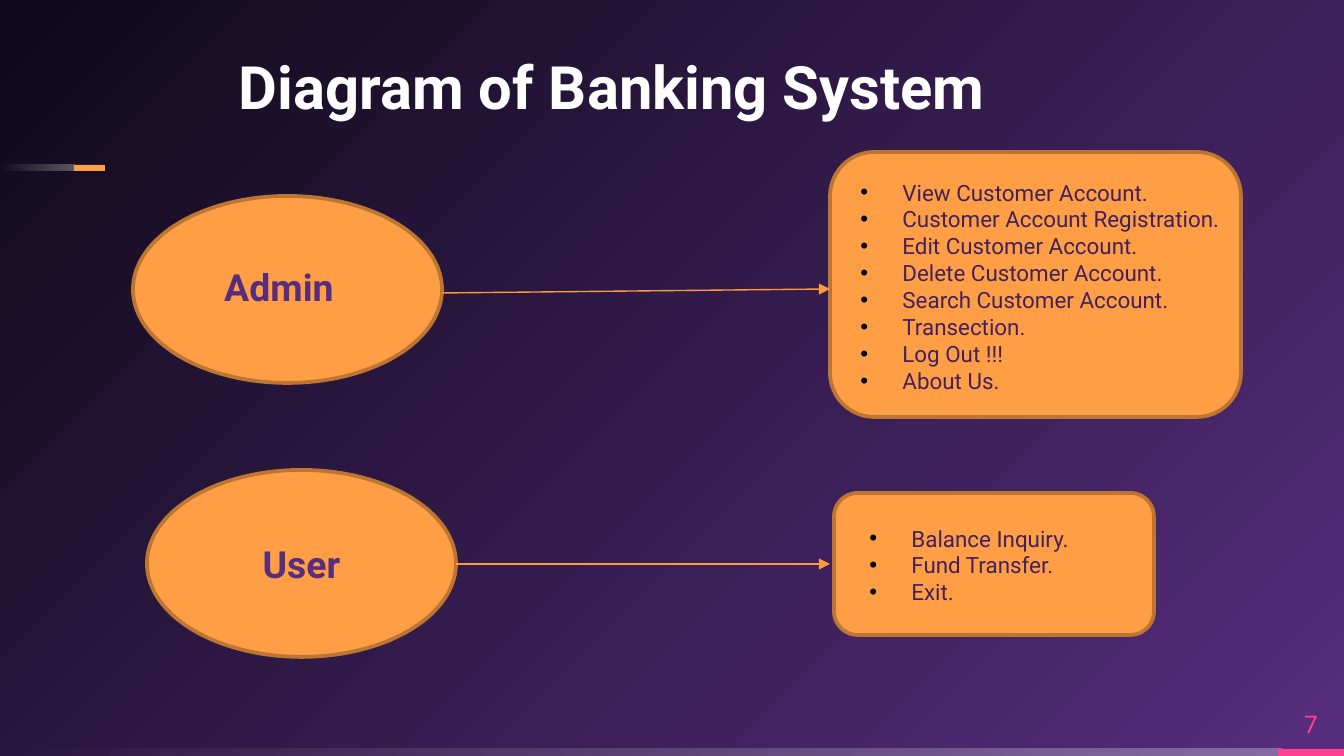
from dataclasses import dataclass

from lxml.etree import SubElement
from pptx import Presentation
from pptx.dml.color import RGBColor
from pptx.enum.shapes import MSO_CONNECTOR, MSO_SHAPE
from pptx.enum.text import MSO_ANCHOR, MSO_AUTO_SIZE, PP_ALIGN
from pptx.oxml import parse_xml
from pptx.oxml.ns import nsdecls, qn
from pptx.util import Pt

EMU_PER_PIXEL = 914400 / 134.4


@dataclass(frozen=True)
class Theme:
    font: str = "Roboto"
    night: str = "0E0918"
    purple: str = "572D7E"
    list_text: str = "41225E"
    bullet: str = "000000"
    white: str = "FFFFFF"
    orange: str = "FF9E44"
    outline: str = "BD7532"
    arrow: str = "FE9A3E"
    pink: str = "FF4093"
    title_size: int = 32
    label_size: int = 20
    number_size: int = 13
    list_size: int = 12


THEME = Theme()


def px(*lengths):
    return [round(length * EMU_PER_PIXEL) for length in lengths]


def color(value):
    return RGBColor.from_string(value)


def paint_background(slide):
    background = parse_xml(
        f'<p:bg {nsdecls("p", "a")}><p:bgPr><a:gradFill rotWithShape="1"><a:gsLst>'
        f'<a:gs pos="0"><a:srgbClr val="{THEME.purple}"/></a:gs>'
        f'<a:gs pos="100000"><a:srgbClr val="{THEME.night}"/></a:gs></a:gsLst>'
        '<a:path path="circle"><a:fillToRect l="100000" t="100000"/></a:path>'
        '</a:gradFill><a:effectLst/></p:bgPr></p:bg>')
    slide.element.cSld.insert(0, background)


def add_shape(slide, kind, box, fill=THEME.orange, outline=None):
    shape = slide.shapes.add_shape(kind, *px(*box))
    shape.shadow.inherit = False
    shape.fill.solid()
    shape.fill.fore_color.rgb = color(fill)
    if outline:
        shape.line.color.rgb = color(outline)
        shape.line.width = Pt(2)
    else:
        shape.line.fill.background()
    return shape


def add_fading_bar(slide, box):
    bar = add_shape(slide, MSO_SHAPE.RECTANGLE, box)
    bar.fill.gradient()
    bar.fill.gradient_angle = 180
    for stop, position, opacity in zip(bar.fill.gradient_stops, (0, 1), (30, 0)):
        stop.position = position
        stop.color.rgb = color(THEME.white)
    for rgb, opacity in zip(bar.element.spPr.iter(qn("a:srgbClr")), (30, 0)):
        SubElement(rgb, qn("a:alpha"), val=str(opacity * 1000))


def write(shape, lines, size, text_color, bold=False,
          align=PP_ALIGN.LEFT, anchor=MSO_ANCHOR.TOP):
    frame = shape.text_frame
    frame.text = "\n".join(lines)
    frame.word_wrap = True
    frame.auto_size = MSO_AUTO_SIZE.NONE
    frame.vertical_anchor = anchor
    for paragraph in frame.paragraphs:
        paragraph.alignment = align
        paragraph.space_before = Pt(0)
        paragraph.font.name = THEME.font
        paragraph.font.size = Pt(size)
        paragraph.font.bold = bold
        paragraph.font.color.rgb = color(text_color)


def place(slide, placeholder, box):
    placeholder.left, placeholder.top, placeholder.width, placeholder.height = px(*box)
    slide.shapes._spTree.append(placeholder.element)  # bring to front


def fill_list(slide, placeholder, box, items):
    place(slide, placeholder, box)
    write(placeholder, items, THEME.list_size, THEME.list_text)
    indent = px(42)[0]
    for paragraph in placeholder.text_frame.paragraphs:
        properties = paragraph._p.get_or_add_pPr()
        properties.set("marL", str(indent))
        properties.set("indent", str(-indent))
        bullet_color = parse_xml(f'<a:buClr {nsdecls("a")}><a:srgbClr val="{THEME.bullet}"/></a:buClr>')
        bullet_font = parse_xml(f'<a:buFont {nsdecls("a")} typeface="Arial"/>')
        bullet = parse_xml(f'<a:buChar {nsdecls("a")} char="•"/>')
        spacing = properties.find(qn("a:spcBef"))
        for element in (bullet, bullet_font, bullet_color):
            spacing.addnext(element)


def add_arrow(slide, start, end):
    arrow = slide.shapes.add_connector(MSO_CONNECTOR.STRAIGHT, *px(*start, *end))
    arrow.line.color.rgb = color(THEME.arrow)
    arrow.line.width = Pt(0.75)
    SubElement(arrow.line._get_or_add_ln(), qn("a:tailEnd"), type="triangle")
    SubElement(arrow.element.spPr, qn("a:effectLst"))


def add_slide_number(slide, number):
    box = slide.shapes.add_textbox(*px(1278, 698, 66, 51))
    write(box, [number], THEME.number_size, THEME.pink,
          align=PP_ALIGN.CENTER, anchor=MSO_ANCHOR.MIDDLE)
    frame = box.text_frame
    frame.margin_left = frame.margin_right = frame.margin_top = frame.margin_bottom = 0


def main():
    presentation = Presentation()
    presentation.slide_width, presentation.slide_height = px(1344, 756)
    slide = presentation.slides.add_slide(presentation.slide_layouts[3])
    title, admin_list, user_list = slide.placeholders

    # Background, accents and slide number
    paint_background(slide)
    for box in ((0, 749, 1282, 7), (0, 165, 75, 6)):
        add_fading_bar(slide, box)
    add_shape(slide, MSO_SHAPE.RECTANGLE, (1278, 749, 66, 7), THEME.pink)
    add_shape(slide, MSO_SHAPE.RECTANGLE, (74, 165, 31, 6))
    add_slide_number(slide, "7")

    # Roles and their action boxes
    add_shape(slide, MSO_SHAPE.OVAL, (133, 196, 309, 187), outline=THEME.outline)
    user = add_shape(slide, MSO_SHAPE.OVAL, (147, 470, 309, 187), outline=THEME.outline)
    for box in ((830, 152, 411, 265), (834, 493, 320, 142)):
        add_shape(slide, MSO_SHAPE.ROUNDED_RECTANGLE, box, outline=THEME.outline)
    admin_label = add_shape(slide, MSO_SHAPE.RECTANGLE, (211, 258, 152, 59))
    write(admin_label, ["Admin"], THEME.label_size, THEME.purple, bold=True)
    write(user, ["User"], THEME.label_size, THEME.purple, bold=True,
          align=PP_ALIGN.CENTER, anchor=MSO_ANCHOR.MIDDLE)

    # Arrows from role to actions
    add_arrow(slide, (442, 293), (830, 289))
    add_arrow(slide, (456, 564), (830, 564))

    # Action lists
    fill_list(slide, admin_list, (847, 172, 394, 301), [
        "View Customer Account.", "Customer Account Registration.",
        "Edit Customer Account.", "Delete Customer Account.",
        "Search Customer Account.", "Transection.", "Log Out !!!", "About Us."])
    fill_list(slide, user_list, (856, 518, 280, 122),
              ["Balance Inquiry.", "Fund Transfer.", "Exit."])

    # Title
    place(slide, title, (179, 43, 866, 86))
    write(title, ["Diagram of Banking System"], THEME.title_size, THEME.white,
          bold=True, align=PP_ALIGN.CENTER)

    presentation.save("out.pptx")


main()
